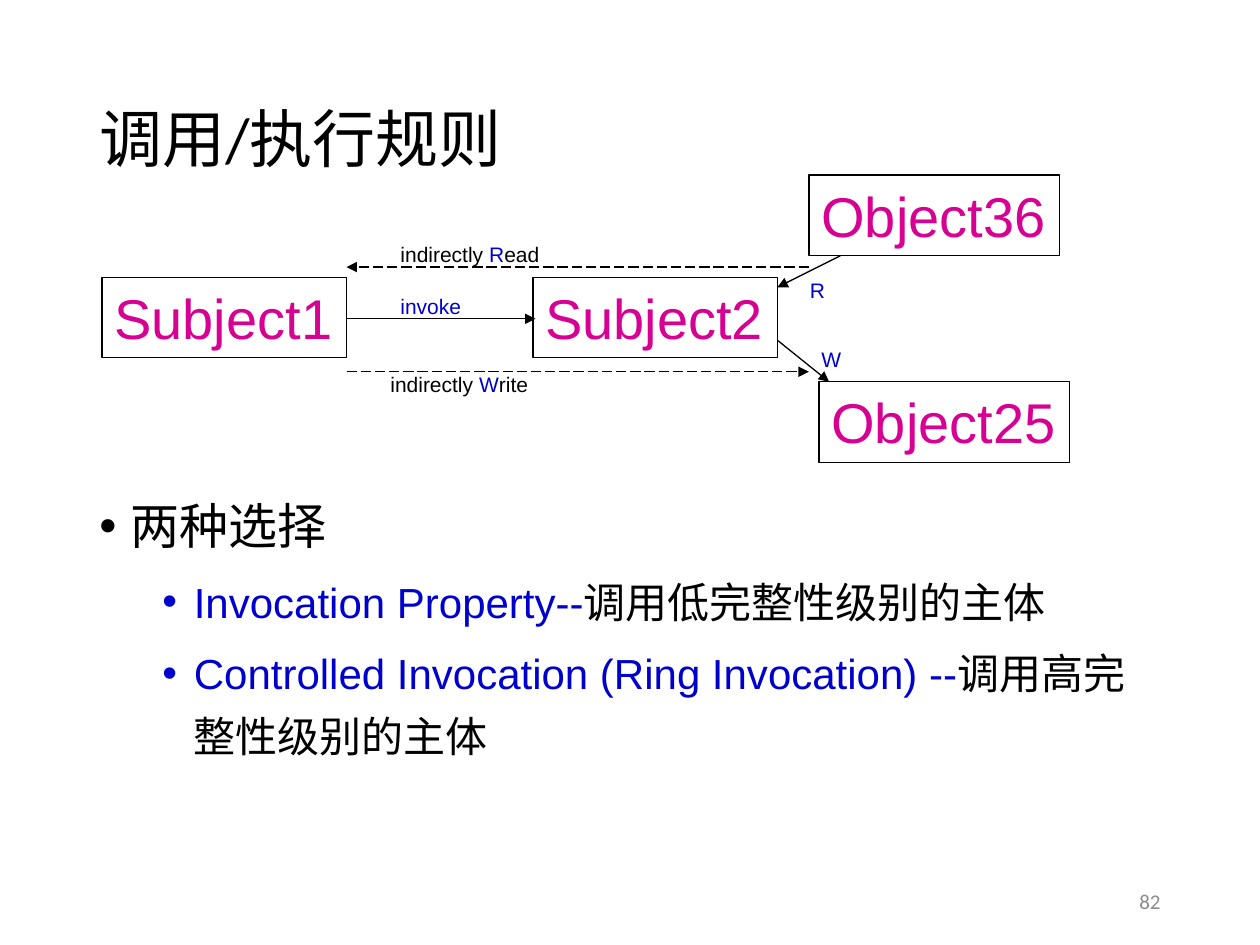
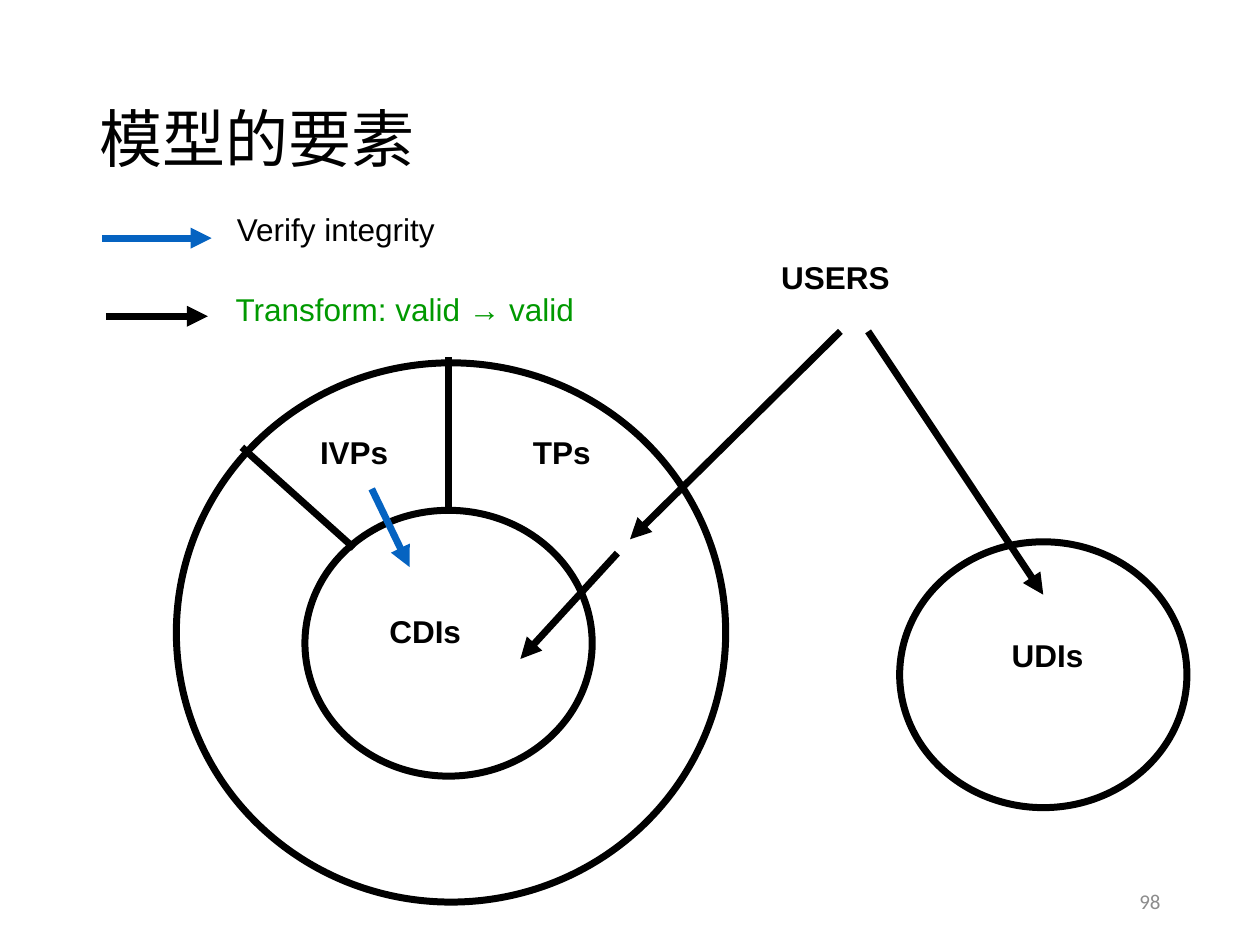
from dataclasses import dataclass
from typing import NamedTuple

from lxml import etree
from pptx import Presentation
from pptx import util as u
from pptx.dml.color import RGBColor
from pptx.enum import dml, shapes, text
from pptx.oxml import ns


@dataclass(frozen=True)
class Theme:
    black: str = "000000"
    blue: str = "0000CC"
    magenta: str = "D60093"
    green: str = "009900"
    accent: str = "0563C1"
    grey: str = "8C8C8C"
    heading_font: str = "Calibri"
    label_font: str = "Arial"
    title_size: int = 36
    entity_size: int = 32
    body_size: int = 28
    sub_size: int = 24
    part_size: int = 18
    small_size: int = 12
    thin: float = 0.75
    thick: float = 4


THEME = Theme()
LINE_SPACING = 0.87
PART_INSETS = (0.07, 0.03)


class Box(NamedTuple):
    left: float
    top: float
    width: float
    height: float

    def inches(self) -> list:
        return [u.Inches(length) for length in self]


class Span(NamedTuple):
    words: str
    color: str = THEME.black
    font: str = THEME.label_font


class Point(NamedTuple):
    spans: list[Span]
    size: int
    indent: float
    space_before: float


class Entity(NamedTuple):
    name: str
    box: Box


class Label(NamedTuple):
    spans: list[Span]
    box: Box
    bold: bool = False
    wrap: bool = True


class Arrow(NamedTuple):
    start: tuple[float, float]
    end: tuple[float, float]
    color: str = THEME.black
    dashed: bool = False
    pointed: bool = True


TITLE_BOX = Box(0.69, 0.4, 8.62, 1.45)
BODY_BOX = Box(0.69, 3.77, 8.62, 2.99)
NUMBER_BOX = Box(7.06, 6.95, 2.25, 0.4)


def write_spans(paragraph, spans: list[Span], size: float, bold: bool = False) -> None:
    for span in spans:
        run = paragraph.add_run()
        run.text = span.words
        run.font.size = u.Pt(size)
        run.font.name = span.font
        run.font.bold = bold
        run.font.color.rgb = RGBColor.from_string(span.color)


def add_text(slide, box: Box, spans: list[Span], size: float, bold: bool = False,
             wrap: bool = True, grow: bool = False, insets=(0.1, 0.05),
             anchor=text.MSO_ANCHOR.TOP, align=text.PP_ALIGN.LEFT, spacing: float = 1.0):
    frame = slide.shapes.add_textbox(*box.inches()).text_frame
    frame.word_wrap = wrap
    frame.auto_size = (text.MSO_AUTO_SIZE.SHAPE_TO_FIT_TEXT if grow
                       else text.MSO_AUTO_SIZE.NONE)
    frame.margin_left = frame.margin_right = u.Inches(insets[0])
    frame.margin_top = frame.margin_bottom = u.Inches(insets[1])
    frame.vertical_anchor = anchor
    paragraph = frame.paragraphs[0]
    paragraph.alignment = align
    paragraph.line_spacing = spacing
    write_spans(paragraph, spans, size, bold)


def start_slide(deck, title: str, number: int):
    """Add a blank slide with the shared title and page number."""
    slide = deck.slides.add_slide(deck.slide_layouts[6])
    add_text(slide, TITLE_BOX, [Span(title, font=THEME.heading_font)], THEME.title_size,
             anchor=text.MSO_ANCHOR.MIDDLE, spacing=0.9)
    add_text(slide, NUMBER_BOX, [Span(str(number), THEME.grey, THEME.heading_font)],
             THEME.small_size, anchor=text.MSO_ANCHOR.MIDDLE, align=text.PP_ALIGN.RIGHT)
    return slide


def add_outline(slide, kind, box: Box, weight: float):
    outline = slide.shapes.add_shape(kind, *box.inches())
    outline.shadow.inherit = False
    outline.fill.background()
    outline.line.color.rgb = RGBColor.from_string(THEME.black)
    outline.line.width = u.Pt(weight)
    return outline


def add_entity(slide, entity: Entity) -> None:
    outline = add_outline(slide, shapes.MSO_SHAPE.RECTANGLE, entity.box, THEME.thin)
    frame = outline.text_frame
    frame.word_wrap = False
    frame.auto_size = text.MSO_AUTO_SIZE.SHAPE_TO_FIT_TEXT
    frame.vertical_anchor = text.MSO_ANCHOR.TOP
    frame.paragraphs[0].alignment = text.PP_ALIGN.LEFT
    write_spans(frame.paragraphs[0], [Span(entity.name, THEME.magenta)], THEME.entity_size)


def add_arrow(slide, arrow: Arrow, weight: float) -> None:
    ends = [u.Inches(length) for length in (*arrow.start, *arrow.end)]
    connector = slide.shapes.add_connector(shapes.MSO_CONNECTOR.STRAIGHT, *ends)
    connector.line.color.rgb = RGBColor.from_string(arrow.color)
    connector.line.width = u.Pt(weight)
    if arrow.dashed:
        connector.line.dash_style = dml.MSO_LINE.LONG_DASH
    properties = connector._element.spPr
    if arrow.pointed:
        etree.SubElement(properties.find(ns.qn("a:ln")), ns.qn("a:tailEnd"), type="triangle")
    etree.SubElement(properties, ns.qn("a:effectLst"))


def add_points(slide, box: Box, points: list[Point]) -> None:
    frame = slide.shapes.add_textbox(*box.inches()).text_frame
    frame.word_wrap = True
    for index, point in enumerate(points):
        paragraph = frame.add_paragraph() if index else frame.paragraphs[0]
        properties = paragraph._p.get_or_add_pPr()
        properties.set("marL", str(u.Inches(point.indent)))
        properties.set("indent", str(u.Inches(-0.25)))
        etree.SubElement(properties, ns.qn("a:buFont"), typeface=THEME.label_font)
        etree.SubElement(properties, ns.qn("a:buChar"), char="•")
        paragraph.line_spacing = 1.25
        paragraph.space_before = u.Pt(point.space_before)
        write_spans(paragraph, point.spans, point.size)


def build_invocation_rules(deck) -> None:
    slide = start_slide(deck, "调用/执行规则", 82)

    def choice(term: str, meaning: str) -> Point:
        spans = [Span(term, THEME.blue), Span(meaning, font=THEME.heading_font)]
        return Point(spans, THEME.sub_size, 0.75, 5)

    add_points(slide, BODY_BOX, [
        Point([Span("两种选择", font=THEME.heading_font)], THEME.body_size, 0.25, 0),
        choice("Invocation Property--", "调用低完整性级别的主体"),
        choice("Controlled Invocation (Ring Invocation) --", "调用高完整性级别的主体"),
    ])

    for entity in (
        Entity("Subject1", Box(0.81, 2.2, 1.94, 0.64)),
        Entity("Subject2", Box(4.23, 2.2, 1.94, 0.64)),
        Entity("Object25", Box(6.5, 3.03, 1.99, 0.64)),
        Entity("Object36", Box(6.42, 1.39, 1.99, 0.64)),
    ):
        add_entity(slide, entity)

    for arrow in (
        Arrow((2.75, 2.53), (4.25, 2.53)),
        Arrow((6.67, 2.03), (6.17, 2.28)),
        Arrow((6.17, 2.7), (6.58, 3.03)),
        Arrow((6.42, 2.12), (2.75, 2.12), dashed=True),
        Arrow((2.75, 2.95), (6.42, 2.95), dashed=True),
    ):
        add_arrow(slide, arrow, THEME.thin)

    def indirect(initial: str, rest: str) -> list[Span]:
        return [Span("indirectly "), Span(initial, THEME.blue), Span(rest)]

    for label in (
        Label([Span("invoke", THEME.blue)], Box(3.08, 2.28, 0.83, 0.3)),
        Label([Span("R", THEME.blue)], Box(6.33, 2.15, 0.83, 0.3)),
        Label([Span("W", THEME.blue)], Box(6.42, 2.7, 0.83, 0.3)),
        Label(indirect("R", "ead"), Box(3.08, 1.87, 2.42, 0.3)),
        Label(indirect("W", "rite"), Box(3, 2.9, 2.42, 0.3)),
    ):
        add_text(slide, label.box, label.spans, THEME.small_size, grow=True)


def build_model_elements(deck) -> None:
    slide = start_slide(deck, "模型的要素", 98)

    procedures = Box(1.4, 2.88, 4.36, 4.28)
    constrained_items = Box(2.42, 4.05, 2.28, 2.11)
    unconstrained_items = Box(7.14, 4.3, 2.28, 2.11)
    for circle in (procedures, constrained_items, unconstrained_items):
        add_outline(slide, shapes.MSO_SHAPE.OVAL, circle, THEME.thick)

    def part(name: str, left: float, top: float, width: float) -> Label:
        return Label([Span(name)], Box(left, top, width, 0.4), bold=True, wrap=False)

    for label in (
        part("TPs", 4.16, 3.45, 0.75),
        part("CDIs", 3.02, 4.87, 0.9),
        part("USERS", 6.13, 2.06, 1.29),
        part("UDIs", 7.96, 5.06, 0.9),
        part("IVPs", 2.47, 3.45, 0.86),
        Label([Span("Verify integrity")], Box(1.81, 1.68, 2.5, 0.4)),
        Label([Span("Transform: valid → valid", THEME.green)], Box(1.8, 2.31, 3.95, 0.4)),
    ):
        add_text(slide, label.box, label.spans, THEME.part_size, label.bold, label.wrap,
                 grow=True, insets=PART_INSETS, spacing=LINE_SPACING)

    for arrow in (
        Arrow((6.67, 2.63), (5, 4.28)),
        Arrow((6.89, 2.63), (8.28, 4.72)),
        Arrow((3.56, 4.08), (3.56, 2.83), pointed=False),
        Arrow((2.81, 4.35), (1.92, 3.55), pointed=False),
        Arrow((4.9, 4.39), (4.13, 5.23)),
        Arrow((2.95, 3.88), (3.25, 4.5), THEME.accent),
        Arrow((0.81, 1.89), (1.68, 1.89), THEME.accent),
        Arrow((0.84, 2.51), (1.65, 2.51)),
    ):
        add_arrow(slide, arrow, THEME.thick)


def main() -> None:
    deck = Presentation()
    deck.slide_width, deck.slide_height = u.Inches(10), u.Inches(7.5)
    build_invocation_rules(deck)
    build_model_elements(deck)
    deck.save("out.pptx")


if __name__ == "__main__":
    main()
